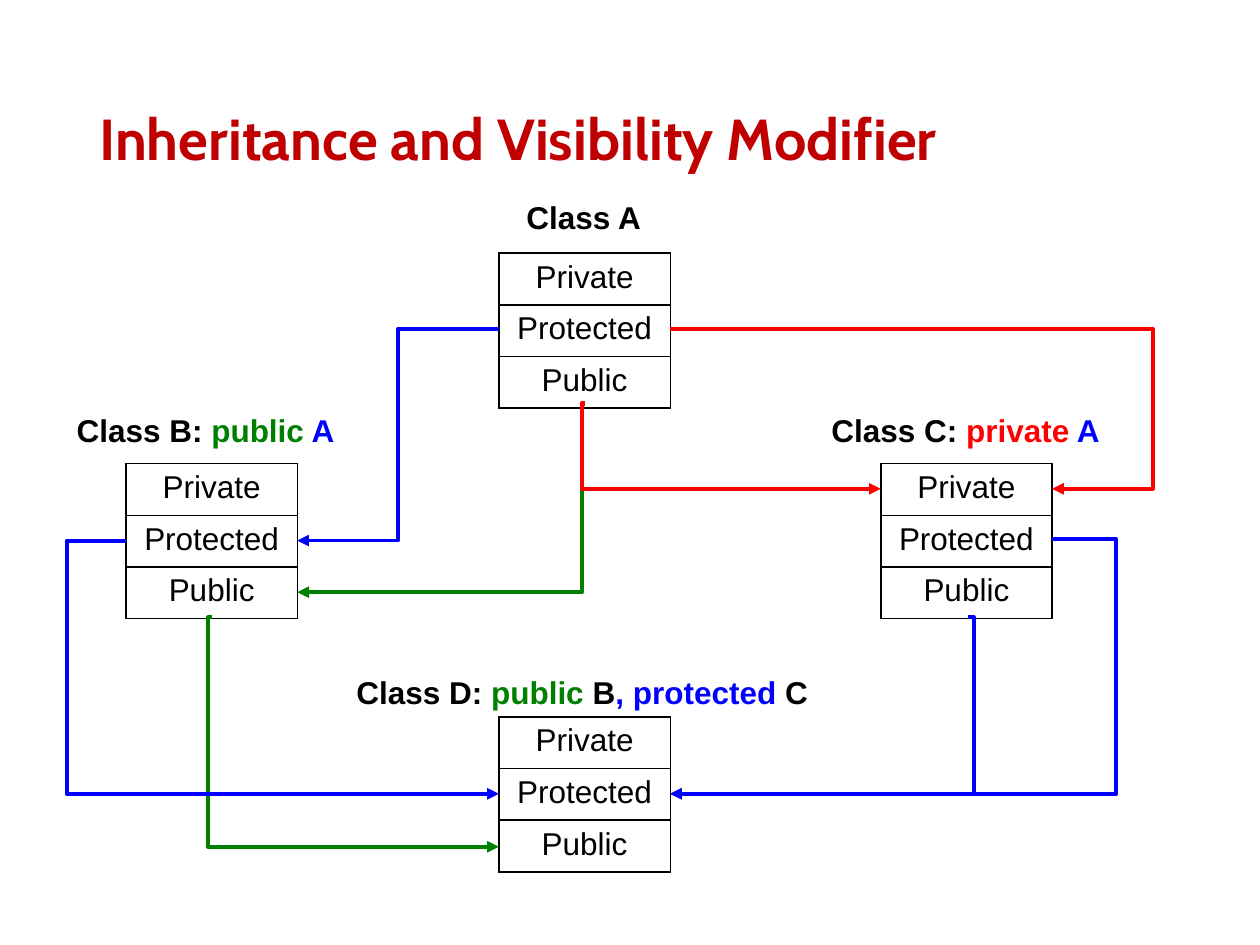
from lxml import etree
from pptx import Presentation
from pptx import util as u
from pptx.dml.color import RGBColor
from pptx.enum import shapes, text
from pptx.oxml import parse_xml
from pptx.oxml.ns import nsdecls, qn

BLACK = RGBColor(0x00, 0x00, 0x00)
CRIMSON = RGBColor(0xC0, 0x00, 0x00)
RED = RGBColor(0xFF, 0x00, 0x00)
GREEN = RGBColor(0x00, 0x80, 0x00)
BLUE = RGBColor(0x00, 0x00, 0xFF)

MEMBERS = ("Private", "Protected", "Public")
BOX_W, ROW_H = 1.36, 0.41


class Diagram:
    """Holds the style and the slide being drawn."""
    font, size = "Arial", 18
    line_width = 2.25

    def __init__(self, slide):
        self.s = slide

    def style(self, r, color=BLACK, bold=False, font=None, size=None):
        r.font.name = font or self.font
        r.font.size = u.Pt(size or self.size)
        r.font.bold = bold
        r.font.color.rgb = color

    def textbox(self, x, y, w, h):
        sp = self.s.shapes.add_textbox(*map(u.Inches, (x, y, w, h)))
        return sp.text_frame

    def title(self, words):
        tf = self.textbox(0.69, 0.4, 8.62, 1.45)
        tf.word_wrap = True
        tf.vertical_anchor = text.MSO_ANCHOR.MIDDLE
        tf.text = words
        p = tf.paragraphs[0]
        p.line_spacing = 0.9
        self.style(p.runs[0], CRIMSON, True, "Cabin", 33)

    def label(self, x, y, w, *parts):
        tf = self.textbox(x, y, w, 0.4)
        tf.word_wrap = False
        for words, color in parts:
            r = tf.paragraphs[0].add_run()
            r.text = words
            self.style(r, color, True)

    def class_box(self, x, y):
        frame = self.s.shapes.add_table(
            len(MEMBERS), 1, u.Inches(x), u.Inches(y),
            u.Inches(BOX_W), u.Inches(ROW_H * len(MEMBERS)))
        table = frame.table
        table.first_row = table.horz_banding = False
        for row, member in zip(table.rows, MEMBERS):
            row.height = u.Inches(ROW_H)
            cell = row.cells[0]
            cell.text = member
            p = cell.text_frame.paragraphs[0]
            p.alignment = text.PP_ALIGN.CENTER
            self.style(p.runs[0])
            self.border(cell)
            cell.fill.background()

    def border(self, cell):
        tc_pr = cell._tc.get_or_add_tcPr()
        for side in "LRTB":
            tc_pr.append(parse_xml(
                f'<a:ln{side} {nsdecls("a")} w="{u.Pt(1)}"><a:solidFill>'
                f'<a:srgbClr val="{BLACK}"/></a:solidFill></a:ln{side}>'))

    def arrow(self, start, end, bend_x, color):
        """Elbow arrow whose upright part stands at bend_x."""
        c = self.s.shapes.add_connector(
            shapes.MSO_CONNECTOR.ELBOW, *map(u.Inches, start + end))
        c.line.color.rgb = color
        c.line.width = u.Pt(self.line_width)
        sp_pr = c._element.spPr
        bend = round((bend_x - start[0]) / (end[0] - start[0]) * 100000)
        guides = sp_pr.find(qn("a:prstGeom")).get_or_add_avLst()
        etree.SubElement(guides, qn("a:gd"), name="adj1", fmla=f"val {bend}")
        etree.SubElement(c.line._get_or_add_ln(), qn("a:tailEnd"), type="triangle")
        etree.SubElement(sp_pr, qn("a:effectLst"))


def main():
    prs = Presentation()
    prs.slide_width, prs.slide_height = u.Inches(10), u.Inches(7.5)
    d = Diagram(prs.slides.add_slide(prs.slide_layouts[6]))
    d.title("Inheritance and Visibility Modifier")

    # Class boxes
    a, b, c, base = (3.96, 2.01), (1, 3.68), (6.99, 3.68), (3.96, 5.69)
    for corner in (a, base, c, b):
        d.class_box(*corner)

    # Class names
    d.label(4.08, 1.52, 1.12, ("Class A", BLACK))
    d.label(0.51, 3.21, 2.34, ("Class B: ", BLACK), ("public", GREEN), (" A", BLUE))
    d.label(6.5, 3.21, 2.35, ("Class C: ", BLACK), ("private", RED), (" A", BLUE))
    d.label(2.73, 5.29, 3.82, ("Class D: ", BLACK), ("public ", GREEN),
            ("B", BLACK), (", protected ", BLUE), ("C", BLACK))

    # A to B
    d.arrow((3.96, 2.61), (2.36, 4.29), 3.16, BLUE)
    d.arrow((4.64, 3.21), (2.36, 4.7), 4.62, GREEN)
    # A to C
    d.arrow((4.64, 3.2), (6.99, 3.88), 4.62, RED)
    d.arrow((5.32, 2.61), (8.35, 3.88), 9.15, RED)
    # B to D
    d.arrow((1.68, 4.9), (3.96, 6.72), 1.65, GREEN)
    d.arrow((1, 4.29), (3.96, 6.3), 0.53, BLUE)
    # C to D
    d.arrow((7.68, 4.9), (5.32, 6.3), 7.73, BLUE)
    d.arrow((8.35, 4.28), (5.32, 6.3), 8.86, BLUE)

    prs.save("out.pptx")


if __name__ == "__main__":
    main()
